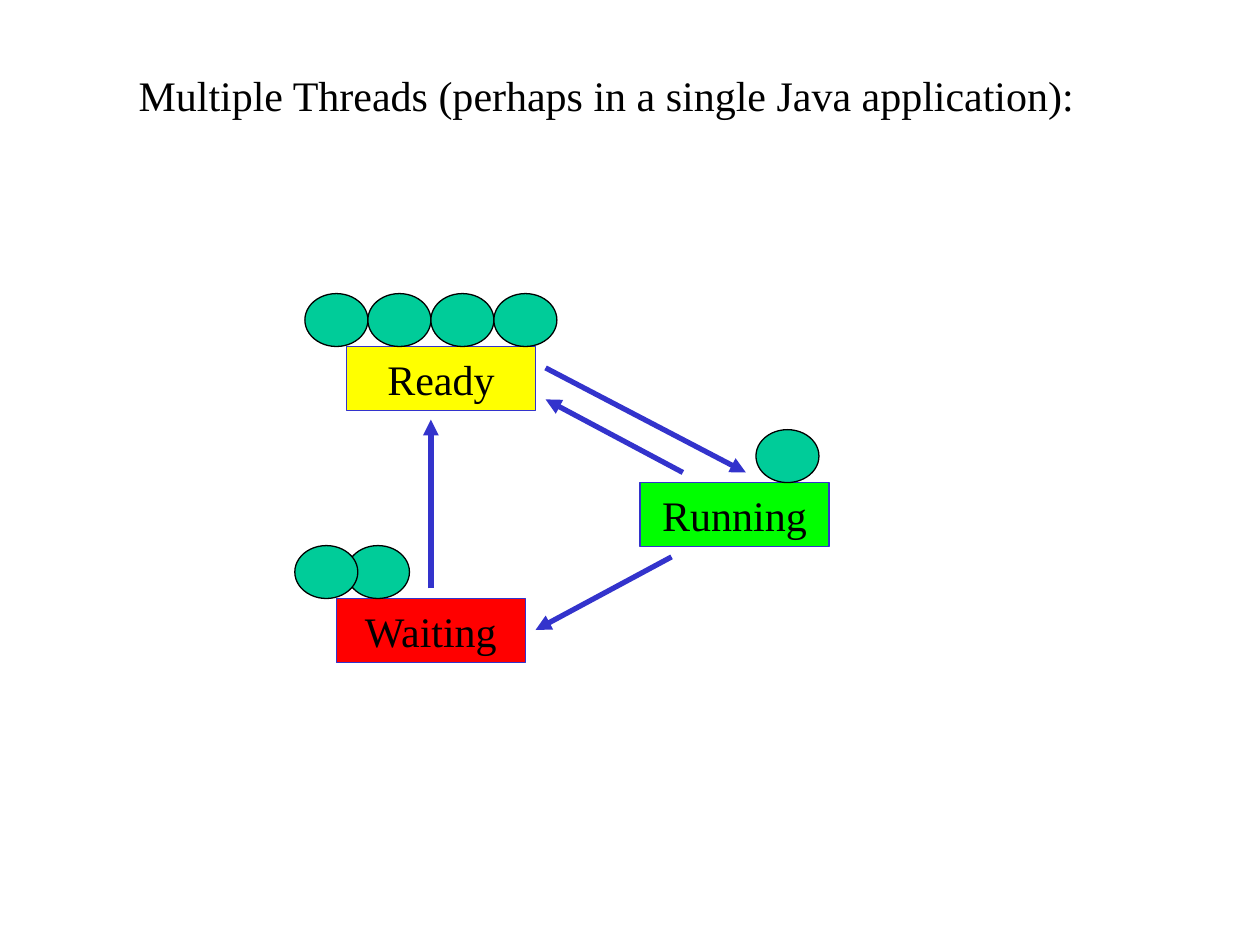
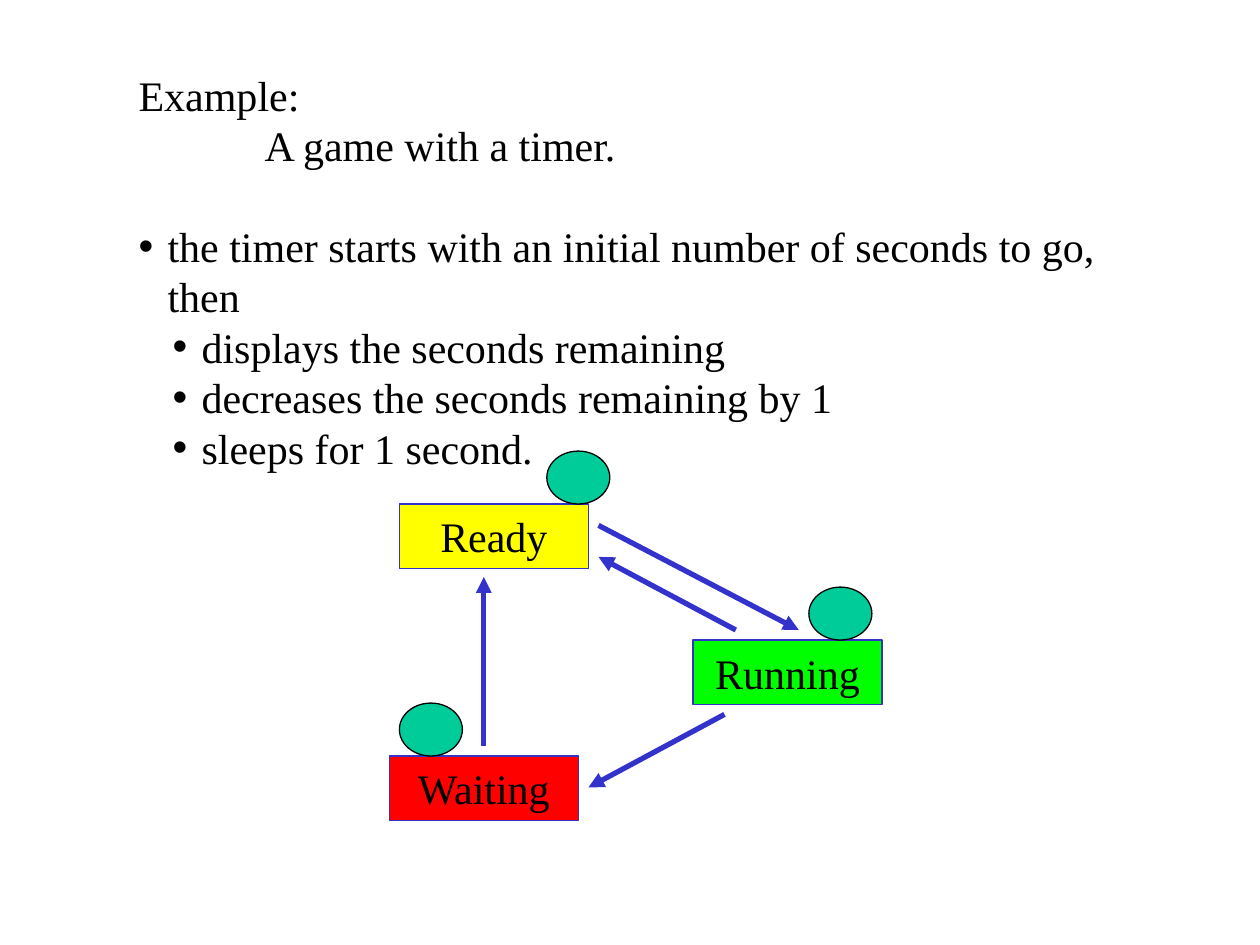
from dataclasses import dataclass

from lxml import etree
from pptx import Presentation
from pptx.dml.color import RGBColor
from pptx.enum.shapes import MSO_CONNECTOR, MSO_SHAPE
from pptx.enum.text import MSO_ANCHOR, MSO_AUTO_SIZE, PP_ALIGN
from pptx.oxml.ns import qn
from pptx.util import Inches, Pt

RECTANGLE = MSO_SHAPE.RECTANGLE
OVAL = MSO_SHAPE.OVAL
STRAIGHT = MSO_CONNECTOR.STRAIGHT
TOP, MIDDLE = MSO_ANCHOR.TOP, MSO_ANCHOR.MIDDLE
LEFT, CENTER = PP_ALIGN.LEFT, PP_ALIGN.CENTER
NO_AUTOFIT = MSO_AUTO_SIZE.NONE

BLACK = RGBColor(0x00, 0x00, 0x00)
YELLOW = RGBColor(0xFF, 0xFF, 0x00)
GREEN = RGBColor(0x00, 0xFF, 0x00)
RED = RGBColor(0xFF, 0x00, 0x00)
BLUE = RGBColor(0x33, 0x33, 0xCC)
TEAL = RGBColor(0x00, 0xCC, 0x99)

FONT_NAME = "Times New Roman"
FONT_SIZE = Pt(24)
LINE_PITCH = Pt(28.8)

TITLE_ONLY, TITLE_AND_CONTENT = 5, 1
TEXT_LEFT, TITLE_TOP, BODY_TOP = 1, 0.5, 0.9
TEXT_WIDTH = 8.32
BOX_WIDTH, BOX_HEIGHT = 1.5, 0.51
THREAD_WIDTH, THREAD_HEIGHT = 0.5, 0.42


@dataclass(frozen=True)
class State:
    """A box, placed relative to the diagram's origin."""
    name: str
    x: float
    y: float
    color: RGBColor


@dataclass(frozen=True)
class Transition:
    """An arrow, placed relative to the diagram's origin."""
    start: tuple[float, float]
    end: tuple[float, float]


@dataclass(frozen=True)
class ListItem:
    text: str
    margin: float
    hanging: float = 0
    level: int = 0
    gap_before: int = 0


# The origin is the top left corner of the Ready box
STATES = [
    State("Ready", 0, 0, YELLOW),
    State("Running", 2.33, 1.08, GREEN),
    State("Waiting", -0.08, 2, RED),
]
TRANSITIONS = [
    Transition((1.58, 0.17), (3.17, 1)),
    Transition((2.58, 1.67), (1.5, 2.25)),
    Transition((0.67, 1.92), (0.67, 0.58)),
    Transition((2.67, 1), (1.58, 0.42)),
]
TIMER_ITEMS = [
    ListItem("A game with a timer.", 1),
    ListItem("the timer starts with an initial number of seconds to go, then",
             0.23, 0.23, gap_before=LINE_PITCH),
    ListItem("displays the seconds remaining", 0.5, 0.23, 1),
    ListItem("decreases the seconds remaining by 1", 0.5, 0.23, 1),
    ListItem("sleeps for 1 second.", 0.5, 0.23, 1),
]


def write_paragraph(paragraph, text: str, alignment=LEFT) -> None:
    run = paragraph.add_run()
    run.text = text
    paragraph.alignment = alignment
    paragraph.line_spacing = LINE_PITCH
    paragraph.space_before = paragraph.space_after = Pt(0)
    # Not every renderer honours the paragraph's font, so the run repeats it
    for font in (paragraph.font, run.font):
        font.name = FONT_NAME
        font.size = FONT_SIZE
        font.color.rgb = BLACK


def place_placeholder(placeholder, top: float, height: float):
    placeholder.left, placeholder.top = Inches(TEXT_LEFT), Inches(top)
    placeholder.width, placeholder.height = Inches(TEXT_WIDTH), Inches(height)
    frame = placeholder.text_frame
    frame.auto_size = NO_AUTOFIT
    frame.word_wrap = True
    frame.vertical_anchor = TOP
    return frame


def write_title(slide, text: str) -> None:
    frame = place_placeholder(slide.shapes.title, TITLE_TOP, 0.5)
    write_paragraph(frame.paragraphs[0], text)


def write_list(slide, items: list[ListItem]) -> None:
    frame = place_placeholder(slide.placeholders[1], BODY_TOP, 2.9)
    for index, item in enumerate(items):
        paragraph = frame.add_paragraph() if index else frame.paragraphs[0]
        write_paragraph(paragraph, item.text)
        paragraph.level = item.level
        paragraph.space_before = item.gap_before
        # Indents and bullets
        properties = paragraph._p.get_or_add_pPr()
        properties.set("marL", str(Inches(item.margin)))
        properties.set("indent", str(-Inches(item.hanging)))
        bullet = etree.Element(qn("a:buChar" if item.hanging else "a:buNone"))
        if item.hanging:
            bullet.set("char", "•")
        properties.find(qn("a:defRPr")).addprevious(bullet)


def add_filled_shape(slide, kind, x: float, y: float, width: float,
                     height: float, fill: RGBColor, line: RGBColor):
    shape = slide.shapes.add_shape(
        kind, Inches(x), Inches(y), Inches(width), Inches(height))
    shape.shadow.inherit = False
    shape.fill.solid()
    shape.fill.fore_color.rgb = fill
    shape.line.color.rgb = line
    shape.line.width = Pt(0.75)
    return shape


def add_arrow(slide, x: float, y: float, transition: Transition) -> None:
    (start_x, start_y), (end_x, end_y) = transition.start, transition.end
    arrow = slide.shapes.add_connector(
        STRAIGHT, Inches(x + start_x), Inches(y + start_y),
        Inches(x + end_x), Inches(y + end_y))
    arrow.line.color.rgb = BLUE
    arrow.line.width = Pt(3)
    etree.SubElement(arrow.line._get_or_add_ln(), qn("a:tailEnd"), type="triangle")
    etree.SubElement(arrow._element.spPr, qn("a:effectLst"))


def draw_diagram(slide, x: float, y: float,
                 threads: dict[str, list[float]]) -> None:
    """Draw the states; threads gives each state's ovals as offsets from its box."""
    for state in STATES:
        box = add_filled_shape(slide, RECTANGLE, x + state.x, y + state.y,
                               BOX_WIDTH, BOX_HEIGHT, state.color, BLUE)
        box.text_frame.vertical_anchor = MIDDLE
        write_paragraph(box.text_frame.paragraphs[0], state.name, CENTER)
    for transition in TRANSITIONS:
        add_arrow(slide, x, y, transition)
    for state in STATES:
        for offset in threads[state.name]:
            add_filled_shape(slide, OVAL, x + state.x + offset,
                             y + state.y - THREAD_HEIGHT,
                             THREAD_WIDTH, THREAD_HEIGHT, TEAL, BLACK)


presentation = Presentation()
presentation.slide_width = Inches(10)
presentation.slide_height = Inches(7.5)
layouts = presentation.slide_layouts

# Slide 1: several threads in each state
threads_slide = presentation.slides.add_slide(layouts[TITLE_ONLY])
write_title(threads_slide,
            "Multiple Threads (perhaps in a single Java application):")
ready_row = [-0.33 + THREAD_WIDTH * index for index in range(4)]
draw_diagram(threads_slide, 2.75, 2.75, {
    "Ready": ready_row, "Running": [0.92], "Waiting": [0.08, -0.33]})

# Slide 2: the timer example
timer_slide = presentation.slides.add_slide(layouts[TITLE_AND_CONTENT])
write_title(timer_slide, "Example:")
write_list(timer_slide, TIMER_ITEMS)
draw_diagram(timer_slide, 3.17, 4, {
    "Ready": [1.17], "Running": [0.92], "Waiting": [0.08]})

presentation.save("out.pptx")
